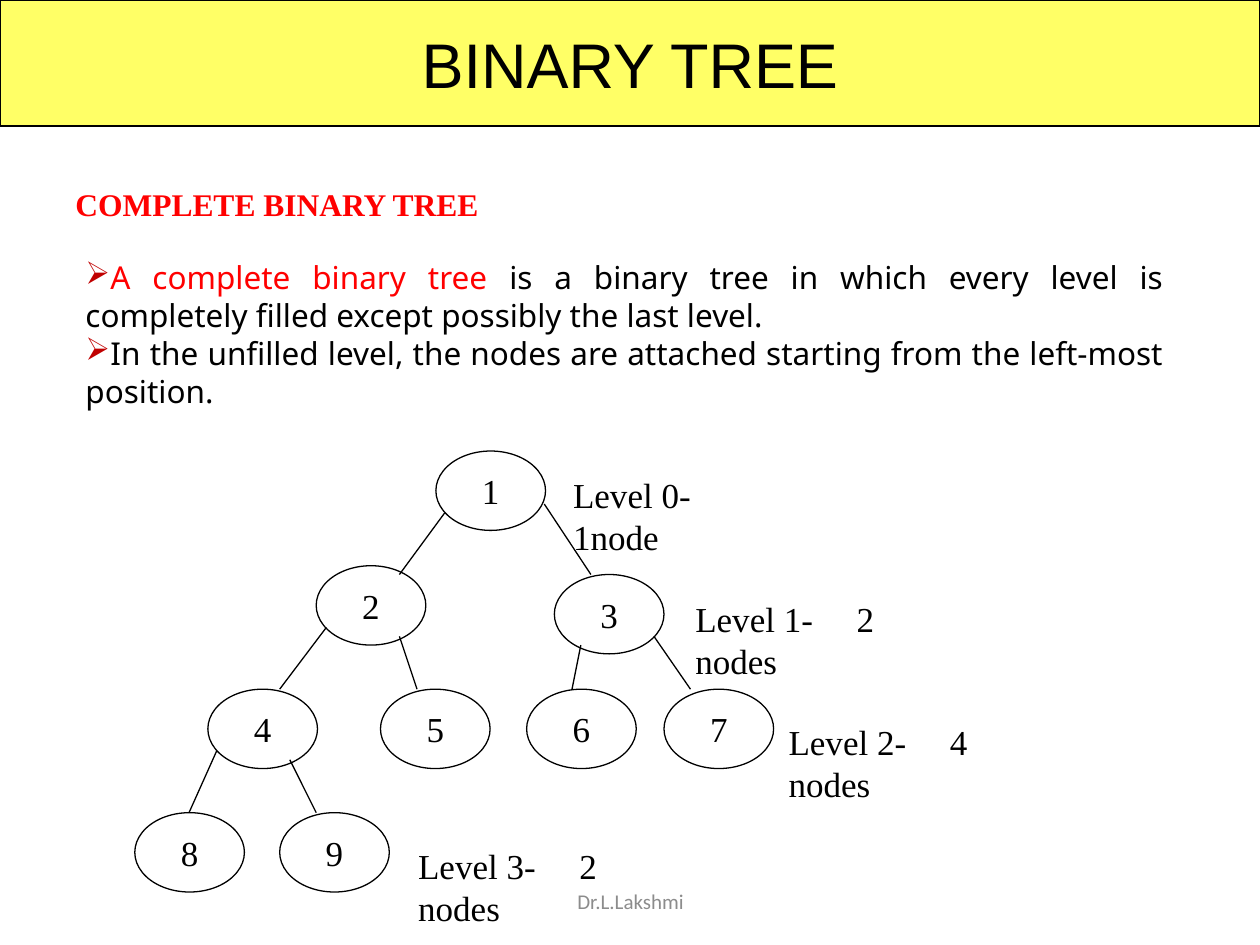
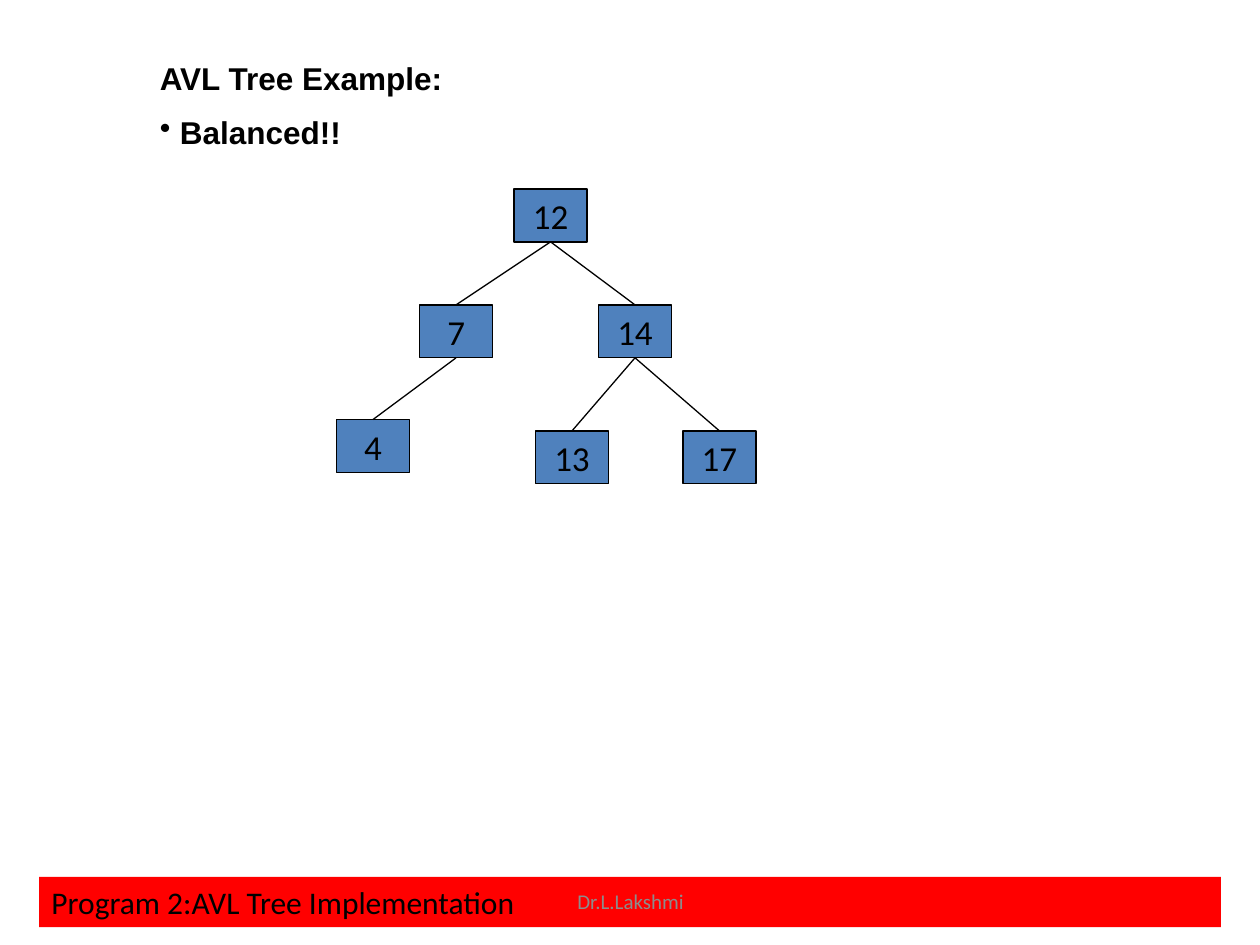
import pptx
import pptx.dml.color
import pptx.enum.shapes
import pptx.enum.text
import pptx.oxml.ns
import pptx.util
from lxml import etree

Inches, Pt = pptx.util.Inches, pptx.util.Pt
RGBColor = pptx.dml.color.RGBColor
SHAPE = pptx.enum.shapes.MSO_SHAPE
STRAIGHT = pptx.enum.shapes.MSO_CONNECTOR.STRAIGHT
ALIGN = pptx.enum.text.PP_ALIGN
ANCHOR = pptx.enum.text.MSO_ANCHOR
qn = pptx.oxml.ns.qn

BLACK = RGBColor(0, 0, 0)
WHITE = RGBColor(255, 255, 255)
RED = RGBColor(255, 0, 0)
DARK_RED = RGBColor(0xC0, 0, 0)
YELLOW = RGBColor(0xFF, 0xFF, 0x66)
BLUE = RGBColor(0x4F, 0x81, 0xBD)
GREY = RGBColor(0x8C, 0x8C, 0x8C)
SERIF, SANS, BODY, PLAIN = "Times New Roman", "Arial", "Noto Sans", "Calibri"
OUTLINE = Pt(0.75)

FOOTER = "Dr.L.Lakshmi"

# A paragraph is a list of (text, colour) spans.
DEFINITION = [
    [("A complete binary tree ", RED),
     ("is a binary tree in which every level is completely filled "
      "except possibly the last level.", BLACK)],
    [("In the unfilled level, the nodes are attached starting from "
      "the left-most position.", BLACK)],
]

OVAL_SIZE = (0.87, 0.63)
OVAL_NODES = {  # number: left, top
    1: (3.46, 3.58),
    2: (2.51, 4.49), 3: (4.4, 4.56),
    4: (1.65, 5.47), 5: (3.02, 5.47), 6: (4.18, 5.47), 7: (5.27, 5.47),
    8: (1.07, 6.45), 9: (2.22, 6.45),
}
BRANCHES = [  # start x, y, end x, y
    (3.53, 4.07, 3.17, 4.56), (4.32, 4, 4.69, 4.56),
    (2.59, 4.98, 2.22, 5.47), (3.17, 5.05, 3.31, 5.47),
    (4.61, 5.12, 4.54, 5.47), (5.19, 5.05, 5.48, 5.47),
    (1.72, 5.96, 1.5, 6.45), (2.3, 6.03, 2.51, 6.45),
]
LEVEL_LABELS = [  # left, top, width, lines
    (4.45, 3.71, 1.87, ["Level 0-", "1node"]),
    (5.42, 4.69, 2.09, ["Level 1-\t2", "nodes"]),
    (6.16, 5.67, 2.09, ["Level 2-\t4", "nodes"]),
    (3.22, 6.65, 2.09, ["Level 3-\t2", "nodes"]),
]
COUNT_TAB = 1.28

KEY_SIZE = (0.58, 0.42)
AVL_KEYS = {  # key: left, top
    12: (4.08, 1.5),
    7: (3.33, 2.42), 14: (4.75, 2.42),
    4: (2.67, 3.33), 13: (4.25, 3.42), 17: (5.42, 3.42),
}
AVL_CHILDREN = {12: (7, 14), 7: (4,), 14: (13, 17)}


def set_bullet(para, char, color, hang=0):
    properties = para._p.get_or_add_pPr()
    properties.set("marL", str(Inches(hang)))
    properties.set("indent", str(-Inches(hang)))
    paint = etree.SubElement(properties, qn("a:buClr"))
    etree.SubElement(paint, qn("a:srgbClr"), val=str(color))
    etree.SubElement(properties, qn("a:buChar"), char=char)


def add_tab(para, position):
    tabs = etree.SubElement(para._p.get_or_add_pPr(), qn("a:tabLst"))
    etree.SubElement(tabs, qn("a:tab"), pos=str(Inches(position)), algn="l")


def write(para, text, font=SANS, size=18, color=BLACK, bold=False,
          align=ALIGN.LEFT):
    """Append text to a paragraph; newlines become line breaks."""
    para.alignment = align
    for index, line in enumerate(text.split("\n")):
        if index:
            para.add_line_break()
        span = para.add_run()
        span.text = line
        span.font.name, span.font.size = font, Pt(size)
        span.font.bold, span.font.color.rgb = bold, color


def add_box(page, left, top, width, height, text="", shape=None, fill=None,
            line=None, anchor=ANCHOR.TOP, wrap=True, **style):
    """Add a text box, or a preset shape when one is named."""
    area = [Inches(value) for value in (left, top, width, height)]
    if shape is None:
        box = page.shapes.add_textbox(*area)
    else:
        box = page.shapes.add_shape(shape, *area)
        box.shadow.inherit = False
        box.fill.solid()
        box.fill.fore_color.rgb = fill
        if line is None:
            box.line.fill.background()
        else:
            box.line.color.rgb, box.line.width = line, OUTLINE
    box.text_frame.word_wrap = wrap
    box.text_frame.vertical_anchor = anchor
    if text:
        write(box.text_frame.paragraphs[0], text, **style)
    return box


def add_centered(page, area, text, shape, fill, **style):
    return add_box(page, *area, text, shape=shape, fill=fill, line=BLACK,
                   anchor=ANCHOR.MIDDLE, wrap=False, align=ALIGN.CENTER,
                   **style)


def add_line(page, *ends):
    line = page.shapes.add_connector(STRAIGHT, *map(Inches, ends))
    line.line.color.rgb, line.line.width = BLACK, OUTLINE
    etree.SubElement(line._element.spPr, qn("a:effectLst"))
    return line


def add_footer(page):
    add_box(page, 3.42, 6.95, 3.17, 0.4, FOOTER, anchor=ANCHOR.MIDDLE,
            font=PLAIN, size=12, color=GREY, align=ALIGN.CENTER)


def build_complete_tree(page):
    add_centered(page, (0, 0, 10, 1), "BINARY TREE", SHAPE.RECTANGLE, YELLOW,
                 size=36)
    add_box(page, 0.5, 1.42, 8.92, 0.4, "COMPLETE BINARY TREE", font=SERIF,
            color=RED, bold=True)
    frame = add_box(page, 0.58, 2, 8.75, 1.31).text_frame
    for index, spans in enumerate(DEFINITION):
        para = frame.add_paragraph() if index else frame.paragraphs[0]
        set_bullet(para, "➢", DARK_RED)
        for text, color in spans:
            write(para, text, font=BODY, color=color, align=ALIGN.JUSTIFY)

    for number, place in OVAL_NODES.items():
        add_centered(page, place + OVAL_SIZE, str(number), SHAPE.OVAL, WHITE,
                     font=SERIF, size=20)
    for ends in BRANCHES:
        add_line(page, *ends)
    for left, top, width, lines in LEVEL_LABELS:
        label = add_box(page, left, top, width, 0.37, shape=SHAPE.RECTANGLE,
                        fill=WHITE)
        para = label.text_frame.paragraphs[0]
        add_tab(para, COUNT_TAB)
        write(para, "\n".join(lines), font=SERIF, size=20)
    add_footer(page)


def build_avl_example(page):
    frame = add_box(page, 1.17, 0.42, 8.42, 0.85, "AVL Tree Example:",
                    bold=True).text_frame
    para = frame.add_paragraph()
    set_bullet(para, "•", BLACK, hang=0.16)
    para.space_before = Pt(9)
    write(para, "Balanced!!", bold=True)

    boxes = {key: add_centered(page, place + KEY_SIZE, str(key),
                               SHAPE.RECTANGLE, BLUE, font=PLAIN, size=20)
             for key, place in AVL_KEYS.items()}
    for parent, children in AVL_CHILDREN.items():
        for child in children:
            line = add_line(page, 0, 0, 1, 1)
            line.begin_connect(boxes[parent], 2)
            line.end_connect(boxes[child], 0)
    add_box(page, 0.31, 6.96, 9.38, 0.4, "Program 2:AVL Tree Implementation",
            shape=SHAPE.RECTANGLE, fill=RED, font=PLAIN)
    add_footer(page)


def main():
    deck = pptx.Presentation()
    deck.slide_width, deck.slide_height = Inches(10), Inches(7.5)
    for build in (build_complete_tree, build_avl_example):
        build(deck.slides.add_slide(deck.slide_layouts[6]))
    deck.save("out.pptx")


if __name__ == "__main__":
    main()
